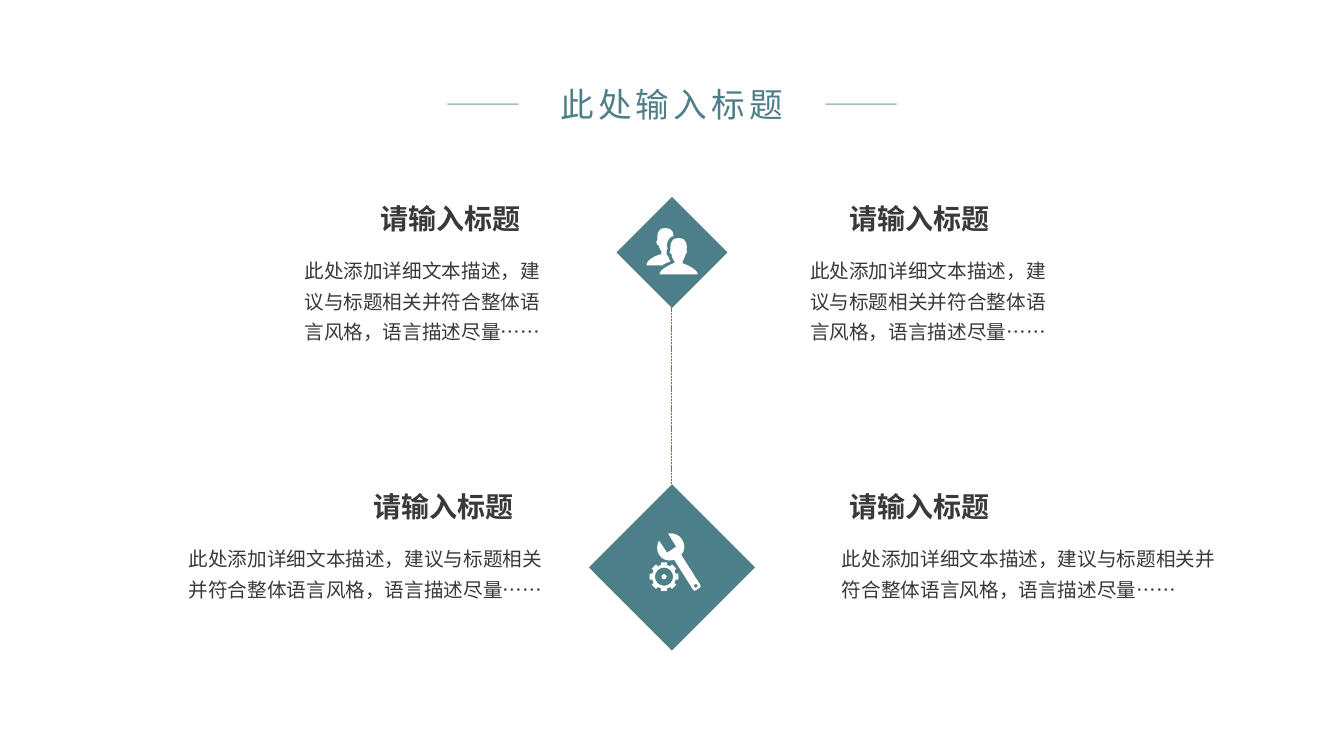
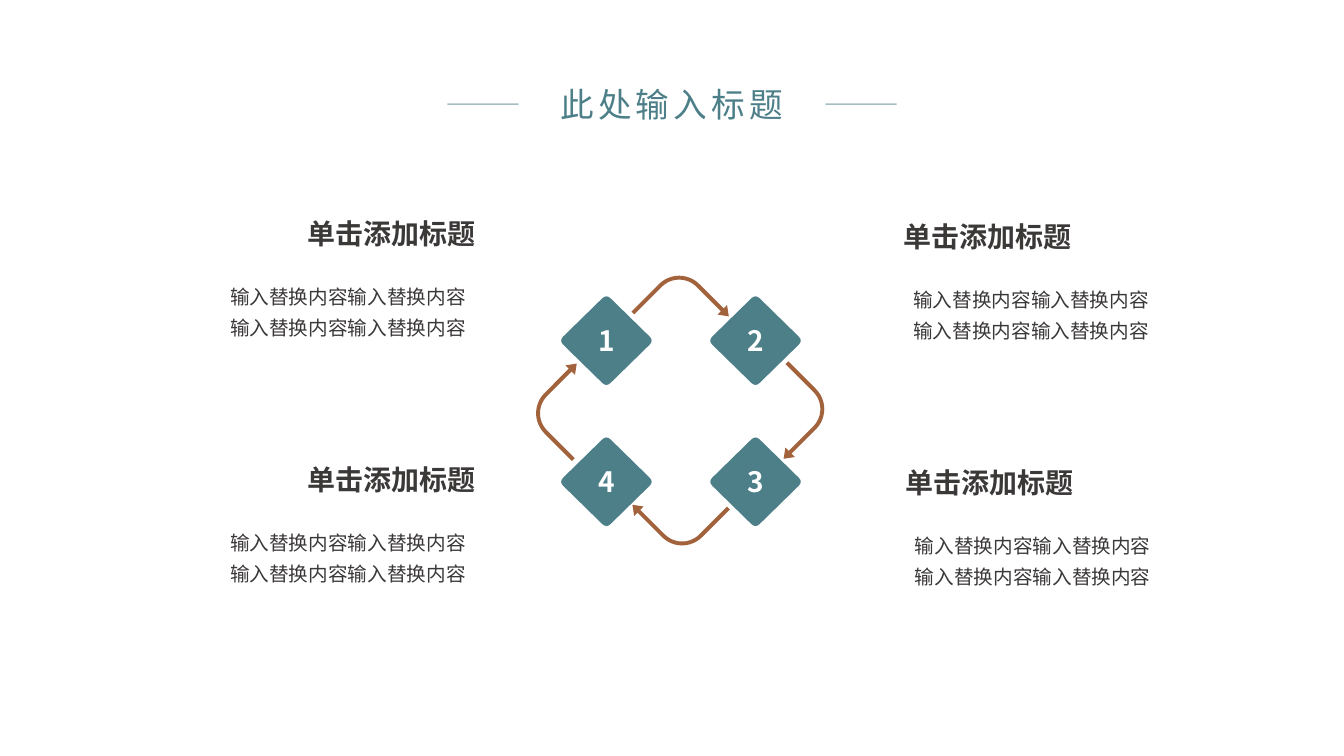
from math import cos, radians, sin

from lxml import etree
from pptx import Presentation
from pptx.dml.color import RGBColor
from pptx.enum.dml import MSO_LINE
from pptx.enum.shapes import MSO_CONNECTOR, MSO_SHAPE
from pptx.enum.text import MSO_ANCHOR, MSO_AUTO_SIZE, PP_ALIGN
from pptx.oxml.ns import qn
from pptx.util import Emu, Inches, Pt

LEFT, CENTER, RIGHT = PP_ALIGN.LEFT, PP_ALIGN.CENTER, PP_ALIGN.RIGHT
MIDDLE, TOP = MSO_ANCHOR.MIDDLE, MSO_ANCHOR.TOP
GROW = MSO_AUTO_SIZE.SHAPE_TO_FIT_TEXT
RECT, OVAL, BENT_ARROW = MSO_SHAPE.RECTANGLE, MSO_SHAPE.OVAL, MSO_SHAPE.BENT_ARROW
STRAIGHT, FINE_DASH = MSO_CONNECTOR.STRAIGHT, MSO_LINE.SQUARE_DOT

FONT = "Noto Sans CJK SC"
TEAL, RUST, INK, WHITE = "4D7F89", "A2633C", "3B3838", "FFFFFF"

COLS, ROWS = 32, 18
CELL = Inches(13.3333) / COLS
ICON_UNIT = 0.024
MID = COLS / 2

FRONT_PERSON = [
    (36, 35), (36, 33), (36, 33, 38, 30, 39, 26), (40, 26, 41, 23, 40, 21),
    (40, 20, 42, 10, 32, 10), (22, 10, 24, 20, 24, 21), (22, 23, 23, 26, 25, 26),
    (25, 30, 28, 33, 28, 33), (28, 33, 28, 35, 27, 35), (24, 36, 13, 41, 13, 46),
    (51, 46), (51, 41, 39, 36, 36, 35)]
BACK_PERSON = [
    (17, 36), (19, 35, 22, 34, 24, 33), (23, 32, 22, 30, 22, 29),
    (21, 28, 21, 27, 20, 26), (20, 25, 20, 24, 20, 23), (20, 22, 20, 21, 21, 20),
    (20, 18, 20, 14, 23, 10), (24, 9, 26, 8, 27, 8), (27, 4, 25, 0, 19, 0),
    (9, 0, 11, 10, 11, 12), (9, 13, 10, 17, 12, 17), (13, 21, 15, 23, 15, 23),
    (15, 26), (12, 26, 0, 31, 0, 37), (16, 37), (17, 37, 17, 36, 17, 36)]
WRENCH = [
    (44, 52), (25, 22), (29, 18, 29, 12, 26, 7), (23, 2, 17, 0, 12, 1), (20, 14),
    (11, 20), (3, 8), (1, 12, 0, 17, 3, 22), (6, 27, 12, 29, 18, 27), (37, 57),
    (37, 58, 39, 58, 40, 57), (43, 55), (44, 55, 45, 53, 44, 52)]
WRENCH_HOLE = [
    (41, 54), (40, 55, 38, 55, 38, 54), (37, 53, 37, 52, 39, 51),
    (39, 51, 41, 51, 41, 52), (42, 52, 41, 54, 41, 54)]
GEAR_HOLE = [
    (9, 0), (9, -5, 5, -9, 0, -9), (-5, -9, -9, -5, -9, 0),
    (-9, 5, -5, 9, 0, 9), (5, 9, 9, 5, 9, 0)]


def cells(*values):
    return [Emu(round(v * CELL)) for v in values]


def rgb(color):
    return RGBColor.from_string(color)


def paint(sp, color):
    sp.shadow.inherit = False
    sp.fill.solid()
    sp.fill.fore_color.rgb = rgb(color)
    sp.line.fill.background()
    return sp


def write(tf, text, size=14, color=INK, bold=False, align=LEFT, spacing=None,
          tracking=None, anchor=TOP):
    tf.word_wrap = True
    tf.vertical_anchor = anchor
    for i, line_text in enumerate(text.split("\n")):
        p = tf.add_paragraph() if i else tf.paragraphs[0]
        p.alignment = align
        p.line_spacing = spacing
        r = p.add_run()
        r.text = line_text
        r.font.size = Pt(size)
        r.font.bold = bold
        r.font.color.rgb = rgb(color)
        r.font.name = FONT
        rpr = r.font._element
        etree.SubElement(rpr, qn("a:ea"), typeface=FONT)
        if tracking:
            rpr.set("spc", str(tracking * 100))


def text_box(s, x, y, w, h, text, inset=True, **fmt):
    tf = s.shapes.add_textbox(*cells(x, y, w, h)).text_frame
    if not inset:
        tf.margin_left = tf.margin_right = tf.margin_top = tf.margin_bottom = 0
    write(tf, text, **fmt)
    tf.auto_size = GROW


def centred_shape(s, kind, x, y, size, color, rotation=0):
    sp = s.shapes.add_shape(kind, *cells(x - size / 2, y - size / 2, size, size))
    sp.rotation = rotation
    return paint(sp, color)


def line(s, x1, y1, x2, y2, color, width, dash=None, alpha=None):
    c = s.shapes.add_connector(STRAIGHT, *cells(x1, y1, x2, y2))
    c.line.width = Pt(width)
    c.line.color.rgb = rgb(color)
    if dash:
        c.line.dash_style = dash
    sppr = c._element.spPr
    if alpha:
        clr = sppr.find(".//" + qn("a:srgbClr"))
        etree.SubElement(clr, qn("a:alpha"), val=str(alpha * 1000))
    etree.SubElement(sppr, qn("a:effectLst"))


def bend(sp, steps):
    lines = iter(list(sp._element.iter(qn("a:lnTo"))))
    for step in steps:
        segment = next(lines)
        if len(step) == 6:
            segment.tag = qn("a:cubicBezTo")
            for _ in range(2):
                extra = next(lines)
                segment.append(extra[0])
                extra.getparent().remove(extra)


def outline(s, x, y, contours, color):
    fb = None
    for contour in contours:
        flat = [v for step in contour for v in step]
        first, *rest = [cells(x + px * ICON_UNIT, y + py * ICON_UNIT)
                        for px, py in zip(flat[::2], flat[1::2])]
        if fb is None:
            fb = s.shapes.build_freeform(*first, scale=1.0)
        else:
            fb.move_to(*first)
        fb.add_line_segments(rest, close=True)
    sp = fb.convert_to_shape()
    bend(sp, [step for contour in contours for step in contour[1:]])
    return paint(sp, color)


def polar(radius, degrees):
    return radius * cos(radians(degrees)), radius * sin(radians(degrees))


def gear(s, x, y):
    teeth = [polar(radius, 45 * k + turn) for k in range(8)
             for radius, turn in ((12, -14), (14.5, -12), (14.5, 12), (12, 14))]
    outline(s, x, y, [teeth, GEAR_HOLE], WHITE)
    centred_shape(s, OVAL, x, y, 0.12, WHITE)


def toward(start, end, share):
    return tuple(a + share * (b - a) for a, b in zip(start, end))


def number_diamond(s, x, y, number):
    corners = [(0, -46), (47, 0), (0, 46), (-47, 0)]
    steps = []
    for i, corner in enumerate(corners):
        before, after = corners[i - 1], corners[(i + 1) % 4]
        steps += [toward(corner, before, 0.09),
                  toward(corner, before, 0.03) + toward(corner, after, 0.03)
                  + toward(corner, after, 0.09)]
    sp = outline(s, x, y, [steps], TEAL)
    write(sp.text_frame, number, size=20, color=WHITE, bold=True, align=CENTER,
          anchor=MIDDLE)


def turn_arrow(s, x, y, rotation):
    sp = centred_shape(s, BENT_ARROW, x, y, 1.72, RUST, rotation)
    for i, value in enumerate((0.055, 0.093, 0.127, 0.395)):
        sp.adjustments[i] = value


def titled_slide(prs, title):
    s = prs.slides.add_slide(prs.slide_layouts[6])
    for x in (10.65, 19.65):
        line(s, x, 2.48, x + 1.7, 2.48, TEAL, 1, alpha=50)
    text_box(s, 12.45, 1.87, 7.08, 1.2, title, size=24, color=TEAL,
             align=CENTER, tracking=3)
    return s


def timeline_slide(prs):
    s = titled_slide(prs, "此处输入标题")
    centred_shape(s, RECT, MID, 13.51, 2.8, TEAL, 45)
    centred_shape(s, RECT, MID, 6.01, 1.87, TEAL, 45)
    line(s, MID - 0.01, 7.32, MID - 0.01, 11.52, RUST, 0.5, dash=FINE_DASH)
    body = "此处添加详细文本描述，建议与标题相关并符合整体语言风格，语言描述尽量……"
    for head_x, y, body_x, body_w, body_h, align in (
            (8.16, 4.68, 6.82, 6.47, 2.4, CENTER),
            (19.32, 4.68, 19, 6.19, 2.4, CENTER),
            (7.99, 11.54, 4.2, 8.95, 1.63, RIGHT),
            (19.32, 11.54, 19.81, 9.79, 1.63, LEFT)):
        text_box(s, head_x, y, 5.14, 1.06, "请输入标题", size=20, bold=True,
                 align=CENTER)
        text_box(s, body_x, y + 1.2, body_w, body_h, body, align=align, spacing=1.3)
    outline(s, 15.62, 12.68, [WRENCH, WRENCH_HOLE], WHITE)
    gear(s, 15.81, 13.73)
    outline(s, 15.39, 5.43, [FRONT_PERSON, BACK_PERSON], WHITE)


def cycle_slide(prs):
    s = titled_slide(prs, "此处输入标题")
    left, right, upper, lower = 14.44, 17.99, 8.11, 11.47
    for number, x, y in (("1", left, upper), ("2", right, upper),
                         ("3", right, lower), ("4", left, lower)):
        number_diamond(s, x, y, number)
    for i, (x, y) in enumerate(((16.25, 7.42), (18.77, 9.82),
                                (16.16, 12.13), (13.62, 9.76))):
        turn_arrow(s, x, y, 45 + 90 * i)
    head_w, body_w = 5.86, 6.38
    body = "\n".join(["输入替换内容输入替换内容"] * 2)
    for edge, y, align in ((21.51, 4.99, LEFT), (21.55, 10.85, LEFT),
                           (11.33, 4.92, RIGHT), (11.33, 10.78, RIGHT)):
        shift = 1 if align == RIGHT else 0
        text_box(s, edge - shift * head_w, y, head_w, 0.98, "单击添加标题",
                 inset=False, size=20, bold=True, align=align, spacing=1.3)
        text_box(s, edge - shift * body_w, y + 1.58, body_w, 1.66, body,
                 align=align, spacing=1.3)


def main():
    prs = Presentation()
    prs.slide_width, prs.slide_height = cells(COLS, ROWS)
    timeline_slide(prs)
    cycle_slide(prs)
    prs.save("out.pptx")


main()
